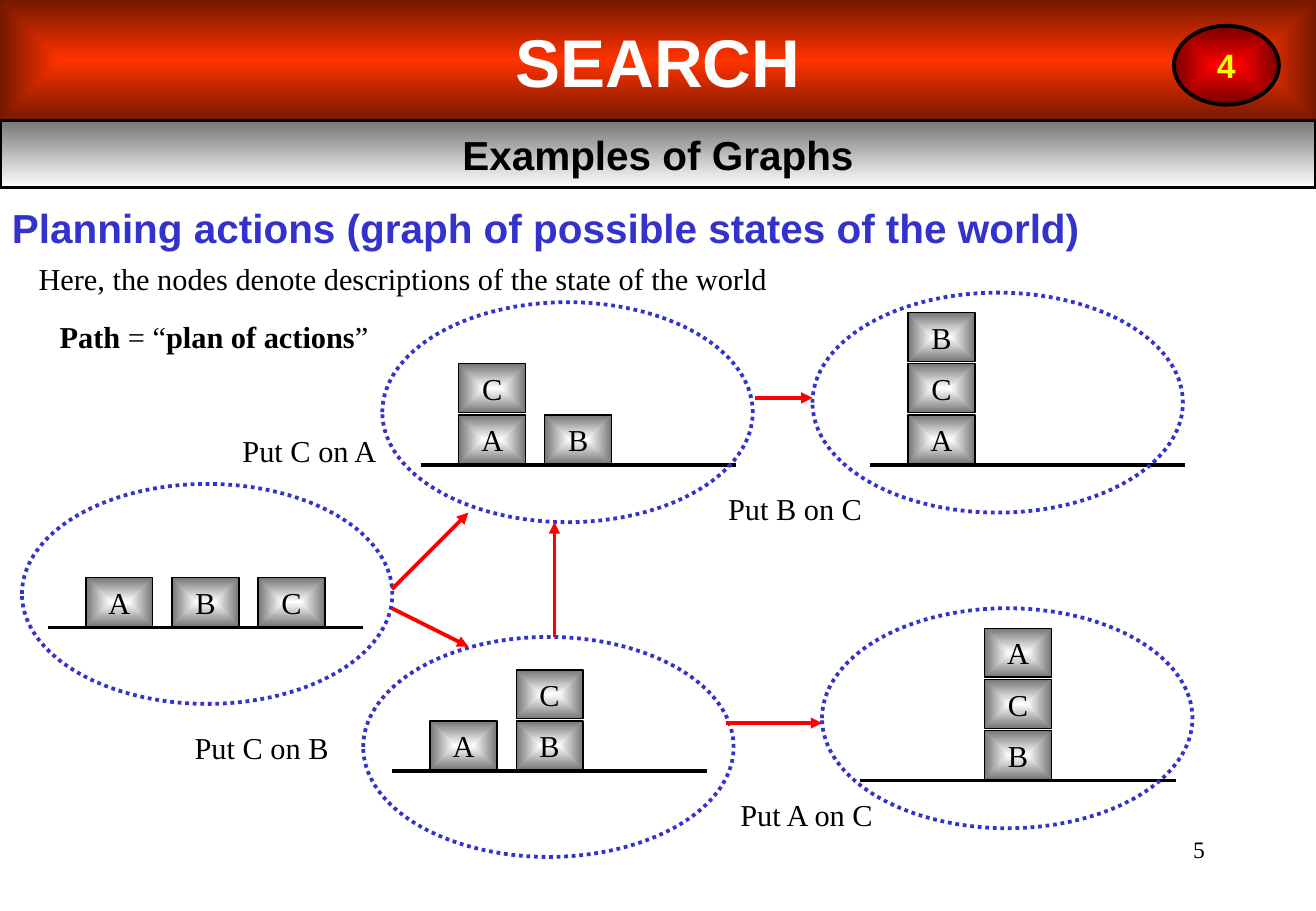
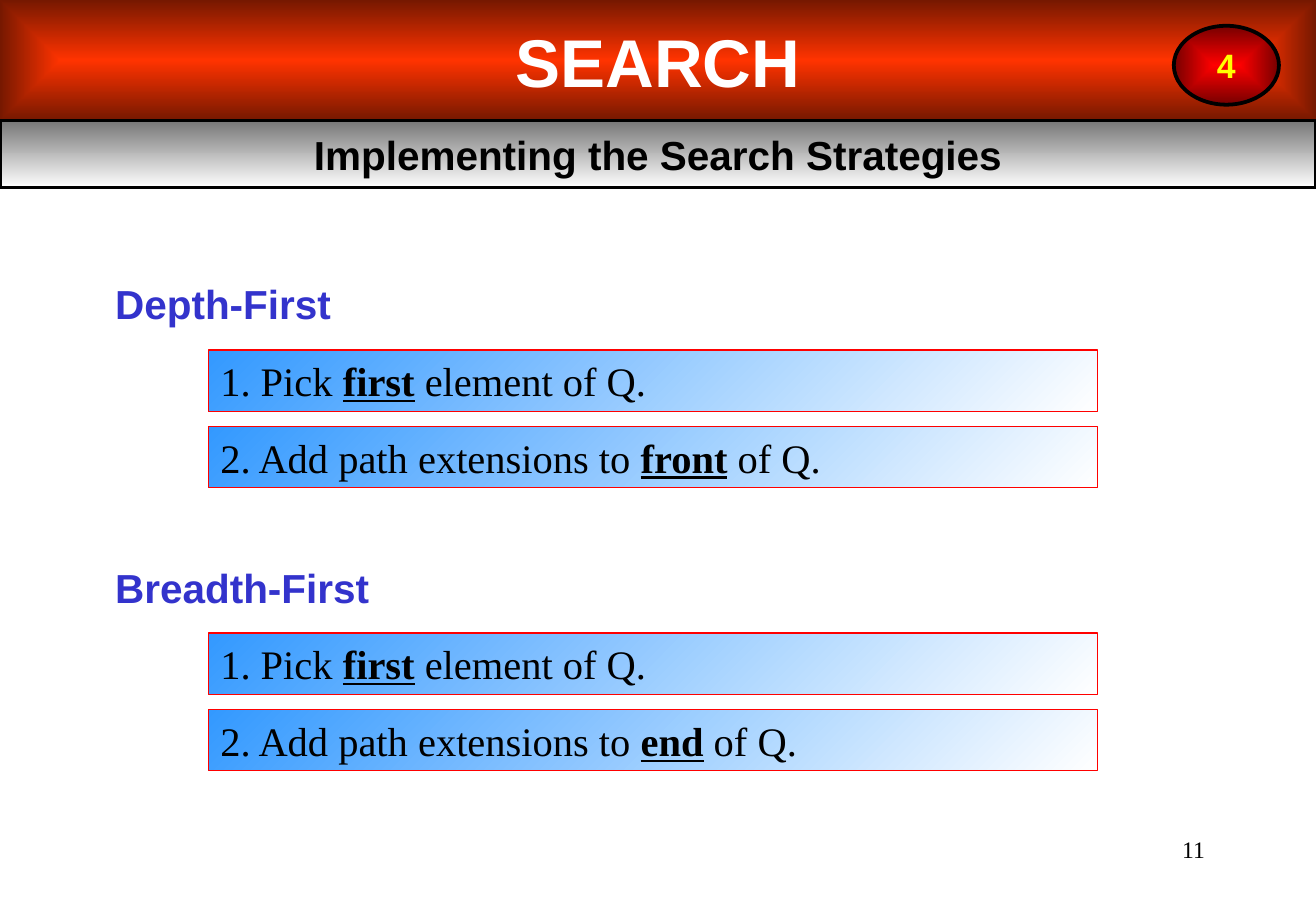
import pptx
import pptx.util
import pptx.dml.color
import pptx.enum.dml
import pptx.enum.shapes
import pptx.enum.text
import pptx.oxml
import pptx.oxml.ns

PRESET = pptx.enum.shapes.MSO_SHAPE
ALIGN = pptx.enum.text.PP_ALIGN
ANCHOR = pptx.enum.text.MSO_ANCHOR
RGB = pptx.dml.color.RGBColor.from_string
QN = pptx.oxml.ns.qn
NS = pptx.oxml.ns.nsdecls("a")


class Theme:
    sans, serif = "Arial", "Times New Roman"
    black, white, red, blue, yellow = "000000", "FFFFFF", "FF0000", "3333CC", "FFFF00"
    band = ("FF3300", "761800", None)
    strip = ("767676", "FFFFFF", 90)
    badge = ("FF0000", "760000", None)
    block = ("FFFFFF", "767676", None)
    step = ("3399FF", "FFFFFF", 45)
    banner, heading, number, body, page = 40, 24, 20, 18, 14
    thick, thin = 2.25, 0.75


UNIT = pptx.util.Mm(2)
SHIFT = 0.4


def put(s, text, at, kind=None, size=Theme.body, font=Theme.serif, color=Theme.black,
        bold=False, underline=False, align=ALIGN.CENTER, anchor=ANCHOR.TOP, wrap=True,
        grad=None, line=None, width=Theme.thick, dash=None):
    col, row, cols, rows = at
    if kind is None:
        sp = s.shapes.add_textbox(0, 0, 0, 0)
    elif kind == "title":
        sp = s.shapes.title
        s.shapes.element.append(sp.element)
    else:
        sp = s.shapes.add_shape(kind, 0, 0, 0, 0)
        sp.shadow.inherit = False
    sp.left, sp.top = int(col * UNIT), int((row - SHIFT) * UNIT)
    sp.width, sp.height = int(cols * UNIT), int(rows * UNIT)

    if grad:
        start, end, angle = grad
        sp.fill.gradient()
        for stop, rgb in zip(sp.fill.gradient_stops, (start, end)):
            stop.color.rgb = RGB(rgb)
        if angle is None:
            lin = sp.element.spPr.find(QN("a:gradFill")).find(QN("a:lin"))
            lin.getparent().replace(lin, pptx.oxml.parse_xml(
                f'<a:path {NS} path="rect"><a:fillToRect l="50000" t="50000" '
                'r="50000" b="50000"/></a:path>'))
        else:
            sp.fill.gradient_angle = 360 - angle
    else:
        sp.fill.background()
    if line:
        sp.line.color.rgb = RGB(line)
        sp.line.width = pptx.util.Pt(width)
        sp.line.dash_style = dash
    else:
        sp.line.fill.background()

    if text:
        tf = sp.text_frame
        tf.word_wrap = wrap
        tf.auto_size = pptx.enum.text.MSO_AUTO_SIZE.NONE
        tf.vertical_anchor = anchor
        p = tf.paragraphs[0]
        p.alignment = align
        for i, part in enumerate(text.split("*")):
            if part:
                r = p.add_run()
                r.text = part
                r.font.name, r.font.size = font, pptx.util.Pt(size)
                r.font.color.rgb = RGB(color)
                r.font.bold = bold or i % 2 == 1
                r.font.underline = underline and i % 2 == 1


def join(s, start, end, color, arrow=False):
    ends = [int(v * UNIT) for c, r in (start, end) for v in (c, r - SHIFT)]
    cn = s.shapes.add_connector(pptx.enum.shapes.MSO_CONNECTOR.STRAIGHT, *ends)
    cn.line.color.rgb = RGB(color)
    cn.line.width = pptx.util.Pt(Theme.thick)
    if arrow:
        cn.line._get_or_add_ln().append(
            pptx.oxml.parse_xml(f'<a:tailEnd {NS} type="triangle"/>'))
    cn.element.spPr.append(pptx.oxml.parse_xml(f"<a:effectLst {NS}/>"))


prs = pptx.Presentation()
prs.slide_width = pptx.util.Inches(10.84)
prs.slide_height = pptx.util.Inches(7.5)
full = prs.slide_width / UNIT

slides = []
for title, page in (("Examples of Graphs", "5"),
                    ("Implementing the Search Strategies", "11")):
    s = prs.slides.add_slide(prs.slide_layouts[5])
    put(s, "SEARCH", (0, SHIFT, full, 12.6), PRESET.RECTANGLE, size=Theme.banner,
        font=Theme.sans, color=Theme.white, bold=True, anchor=ANCHOR.MIDDLE,
        grad=Theme.band)
    put(s, title, (0, 13, full, 7), "title", size=Theme.heading, font=Theme.sans,
        bold=True, anchor=ANCHOR.MIDDLE, grad=Theme.strip, line=Theme.black)
    put(s, "4", (122.8, 3.1, 11, 8.25), PRESET.OVAL, size=Theme.number,
        font=Theme.sans, color=Theme.yellow, bold=True, anchor=ANCHOR.MIDDLE,
        wrap=False, grad=Theme.badge, line=Theme.black)
    put(s, page, (98.6, 87.1, 28.7, 6.4), size=Theme.page, align=ALIGN.RIGHT)
    slides.append(s)

graph, strategies = slides
heading = dict(size=Theme.heading, font=Theme.sans, color=Theme.blue, bold=True,
               align=ALIGN.LEFT)

put(graph, "Planning actions (graph of possible states of the world)",
    (0, 21, 131, 6.4), **heading)
put(graph, "Here, the nodes denote descriptions of the state of the world",
    (2.8, 27, 78.75, 5.1), wrap=False)
put(graph, "*Path* = “*plan of actions*”", (5, 33, 34.8, 5.1), wrap=False)

states = (
    ((2.3, 51), (5, 66), {9: "A", 18: "B", 27: "C"}),
    ((40, 32), (44, 49), {48: "AC", 57: "B"}),
    ((38, 67), (41, 81), {45: "A", 54: "BC"}),
    ((85, 31), (91, 49), {95: "ACB"}),
    ((86, 64), (90, 82), {103: "BCA"}),
)
for oval, (left, floor), stacks in states:
    for col, stack in stacks.items():
        for level, name in enumerate(stack):
            put(graph, name, (col, floor - 5.2 - 5.35 * level, 7, 5.1),
                PRESET.RECTANGLE, anchor=ANCHOR.MIDDLE, grad=Theme.block,
                line=Theme.black, width=Theme.thin)
    join(graph, (left, floor), (left + 33, floor), Theme.black)
    put(graph, "", (*oval, 38.75, 23), PRESET.OVAL, line=Theme.blue,
        dash=pptx.enum.dml.MSO_LINE.ROUND_DOT)

for start, end in (((41, 62), (49, 54)), ((41, 64), (49, 68)), ((58, 67), (58, 55)),
                   ((79, 42), (85, 42)), ((76, 76), (86, 76))):
    join(graph, start, end, Theme.red, arrow=True)

for action, col, row in (("Put C on A", 24, 45), ("Put C on B", 19, 76),
                         ("Put B on C", 74.8, 51), ("Put A on C", 76, 83)):
    put(graph, action, (col, row, 16.75, 5.1))

for name, row, place in (("Depth-First", 29, "front"), ("Breadth-First", 58.6, "end")):
    put(strategies, name, (10.8, row, 49, 6.4), **heading)
    steps = ("1. Pick *first* element of Q.",
             f"2. Add path extensions to *{place}* of Q.")
    for i, step in enumerate(steps, 1):
        put(strategies, step, (21.8, row + 8 * i, 93, 6.4), PRESET.RECTANGLE,
            size=Theme.heading, underline=True, align=ALIGN.LEFT, grad=Theme.step,
            line=Theme.red, width=Theme.thin)

prs.save("out.pptx")
